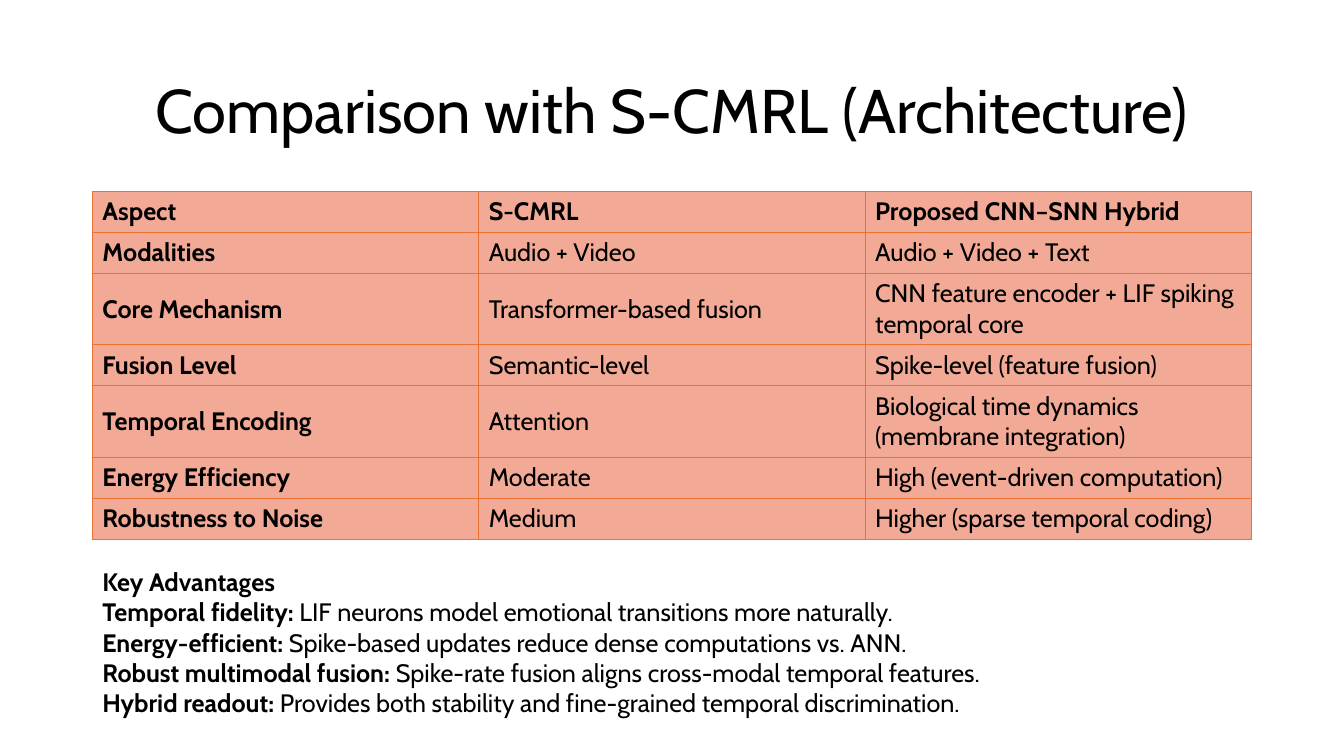
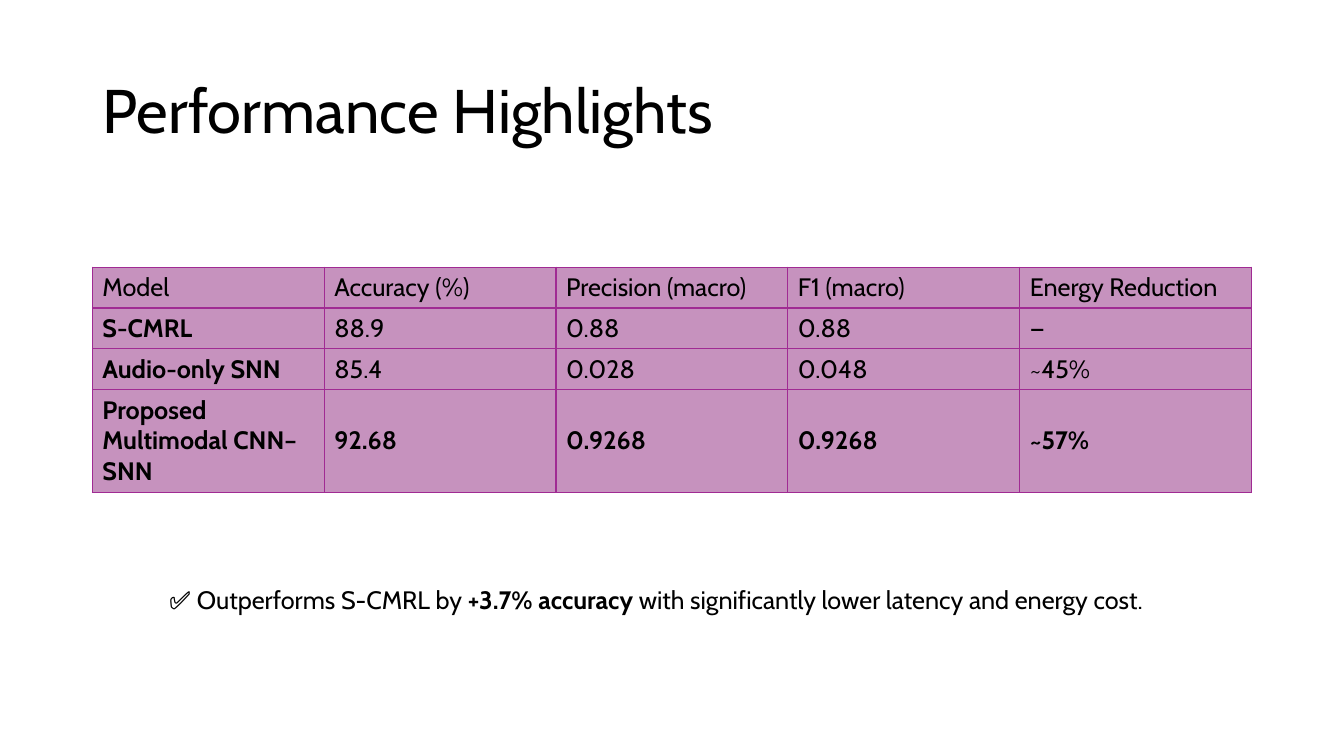
import pptx
import pptx.dml.color
import pptx.enum.text
import pptx.oxml
import pptx.oxml.ns
import pptx.util

Pt = pptx.util.Pt
RGBColor = pptx.dml.color.RGBColor
ALIGN = pptx.enum.text.PP_ALIGN
ANCHOR = pptx.enum.text.MSO_ANCHOR
AUTO_SIZE = pptx.enum.text.MSO_AUTO_SIZE

BLACK = RGBColor(0x00, 0x00, 0x00)
WHITE = RGBColor(0xFF, 0xFF, 0xFF)
ORANGE = RGBColor(0xE9, 0x71, 0x32)
SALMON = RGBColor(0xF2, 0xAA, 0x97)
PURPLE = RGBColor(0xA0, 0x2B, 0x93)
MAUVE = RGBColor(0xC6, 0x92, 0xBE)

FONT = "Cabin"
TITLE_SIZE, BODY_SIZE = 44, 18
MARGIN, CONTENT_WIDTH = 66, 828
TITLE_BOX = (MARGIN, 28.8, CONTENT_WIDTH, 104.4)
ROW_HEIGHT, LINE_HEIGHT = 29.2, 21.8

ARCHITECTURE_ROWS = [
    ["Aspect", "S-CMRL", "Proposed CNN–SNN Hybrid"],
    ["Modalities", "Audio + Video", "Audio + Video + Text"],
    ["Core Mechanism", "Transformer-based fusion",
     "CNN feature encoder + LIF spiking temporal core"],
    ["Fusion Level", "Semantic-level", "Spike-level (feature fusion)"],
    ["Temporal Encoding", "Attention",
     "Biological time dynamics (membrane integration)"],
    ["Energy Efficiency", "Moderate", "High (event-driven computation)"],
    ["Robustness to Noise", "Medium", "Higher (sparse temporal coding)"],
]
ADVANTAGES = [
    [("Key Advantages", True)],
    [("Temporal fidelity:", True),
     (" LIF neurons model emotional transitions more naturally.", False)],
    [("Energy-efficient:", True),
     (" Spike-based updates reduce dense computations vs. ANN.", False)],
    [("Robust multimodal fusion:", True),
     (" Spike-rate fusion aligns cross-modal temporal features.", False)],
    [("Hybrid readout:", True),
     (" Provides both stability and fine-grained temporal discrimination.", False)],
]
PERFORMANCE_ROWS = [
    ["Model", "Accuracy (%)", "Precision (macro)", "F1 (macro)", "Energy Reduction"],
    ["S-CMRL", "88.9", "0.88", "0.88", "—"],
    ["Audio-only SNN", "85.4", "0.028", "0.048", "~45%"],
    ["Proposed Multimodal CNN–SNN", "92.68", "0.9268", "0.9268", "~57%"],
]
CONCLUSION = [
    [("✅ Outperforms S-CMRL by ", False), ("+3.7% accuracy", True),
     (" with significantly lower latency and energy cost.", False)],
]


def add_span(para, text, size=BODY_SIZE, bold=False):
    span = para.add_run()
    span.text = text
    span.font.name = FONT
    span.font.size = Pt(size)
    span.font.bold = bold
    span.font.color.rgb = BLACK


def add_page(deck, title, align):
    page = deck.slides.add_slide(deck.slide_layouts[5])
    page.background.fill.solid()
    page.background.fill.fore_color.rgb = WHITE
    box = page.shapes.title
    box.left, box.top, box.width, box.height = map(Pt, TITLE_BOX)
    frame = box.text_frame
    frame.auto_size = AUTO_SIZE.NONE
    frame.word_wrap = True
    frame.vertical_anchor = ANCHOR.MIDDLE
    para = frame.paragraphs[0]
    para.alignment = align
    para.line_spacing = 0.9
    add_span(para, title, TITLE_SIZE)
    return page


def set_borders(cell, color):
    properties = cell._tc.get_or_add_tcPr()
    for position, side in enumerate(("lnL", "lnR", "lnT", "lnB")):
        properties.insert(position, pptx.oxml.parse_xml(
            f'<a:{side} {pptx.oxml.ns.nsdecls("a")} w="{Pt(1)}"><a:solidFill>'
            f'<a:srgbClr val="{color}"/></a:solidFill></a:{side}>'))


def add_grid(page, top, rows, line_counts, fill, border, is_bold):
    heights = [ROW_HEIGHT + (count - 1) * LINE_HEIGHT for count in line_counts]
    columns = len(rows[0])
    table = page.shapes.add_table(
        len(rows), columns, Pt(MARGIN), Pt(top), Pt(CONTENT_WIDTH), Pt(sum(heights))).table
    for column in table.columns:
        column.width = Pt(CONTENT_WIDTH / columns)
    for row_index, (texts, height) in enumerate(zip(rows, heights)):
        table.rows[row_index].height = Pt(height)
        for column_index, text in enumerate(texts):
            cell = table.cell(row_index, column_index)
            cell.fill.solid()
            cell.fill.fore_color.rgb = fill
            set_borders(cell, border)
            cell.vertical_anchor = ANCHOR.MIDDLE
            add_span(cell.text_frame.paragraphs[0], text,
                     bold=is_bold(row_index, column_index))


def add_text(page, box, paragraphs):
    frame = page.shapes.add_textbox(*map(Pt, box)).text_frame
    frame.word_wrap = True
    frame.auto_size = AUTO_SIZE.SHAPE_TO_FIT_TEXT
    for index, spans in enumerate(paragraphs):
        para = frame.add_paragraph() if index else frame.paragraphs[0]
        for text, bold in spans:
            add_span(para, text, bold=bold)


def add_architecture_page(deck):
    page = add_page(deck, "Comparison with S-CMRL (Architecture)", ALIGN.CENTER)
    add_grid(page, 136.8, ARCHITECTURE_ROWS, [1, 1, 2, 1, 2, 1, 1], SALMON, ORANGE,
             lambda row, column: row == 0 or column == 0)
    add_text(page, (MARGIN, 401, CONTENT_WIDTH, 120), ADVANTAGES)


def add_performance_page(deck):
    page = add_page(deck, "Performance Highlights", ALIGN.LEFT)
    last_row = len(PERFORMANCE_ROWS) - 1
    add_grid(page, 190.8, PERFORMANCE_ROWS, [1, 1, 1, 3], MAUVE, PURPLE,
             lambda row, column: row == last_row or (row > 0 and column == 0))
    add_text(page, (113.8, 414, 772, 29), CONCLUSION)


def main():
    deck = pptx.Presentation()
    deck.slide_width, deck.slide_height = Pt(960), Pt(540)
    add_architecture_page(deck)
    add_performance_page(deck)
    deck.save("out.pptx")


if __name__ == "__main__":
    main()
